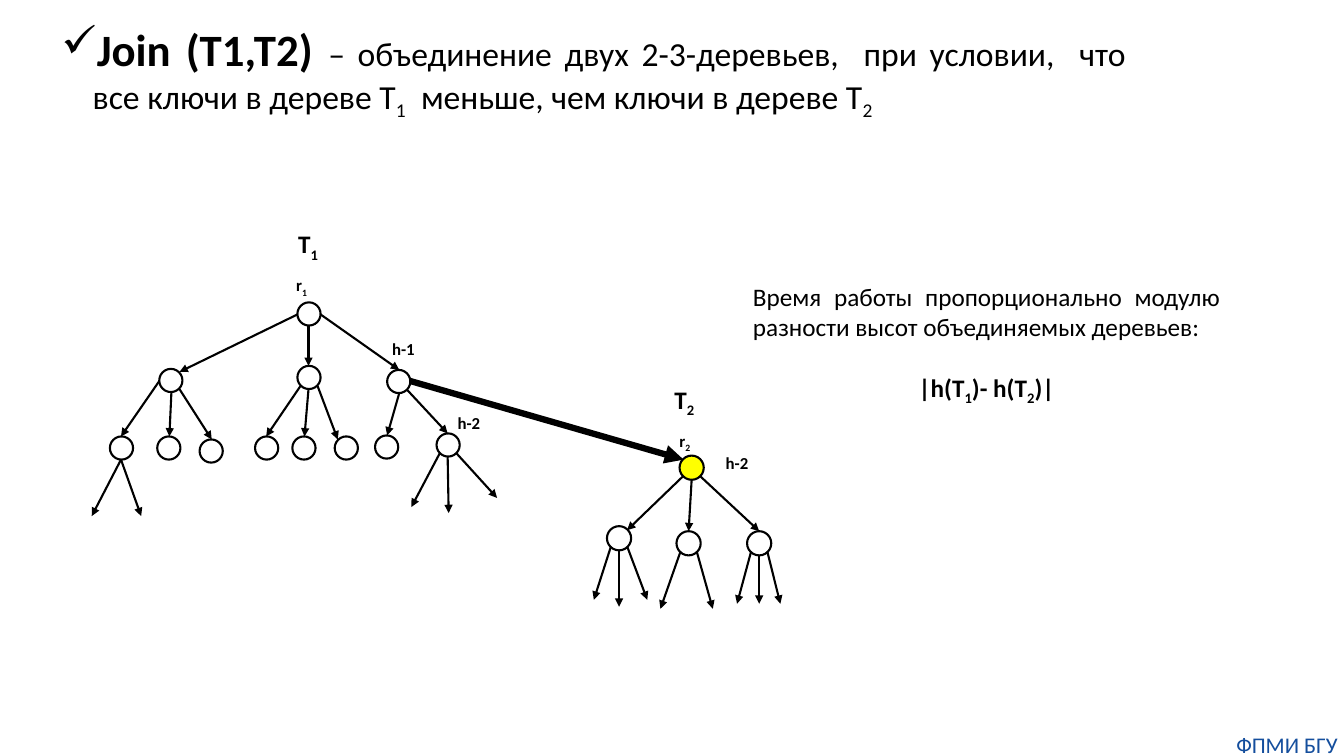
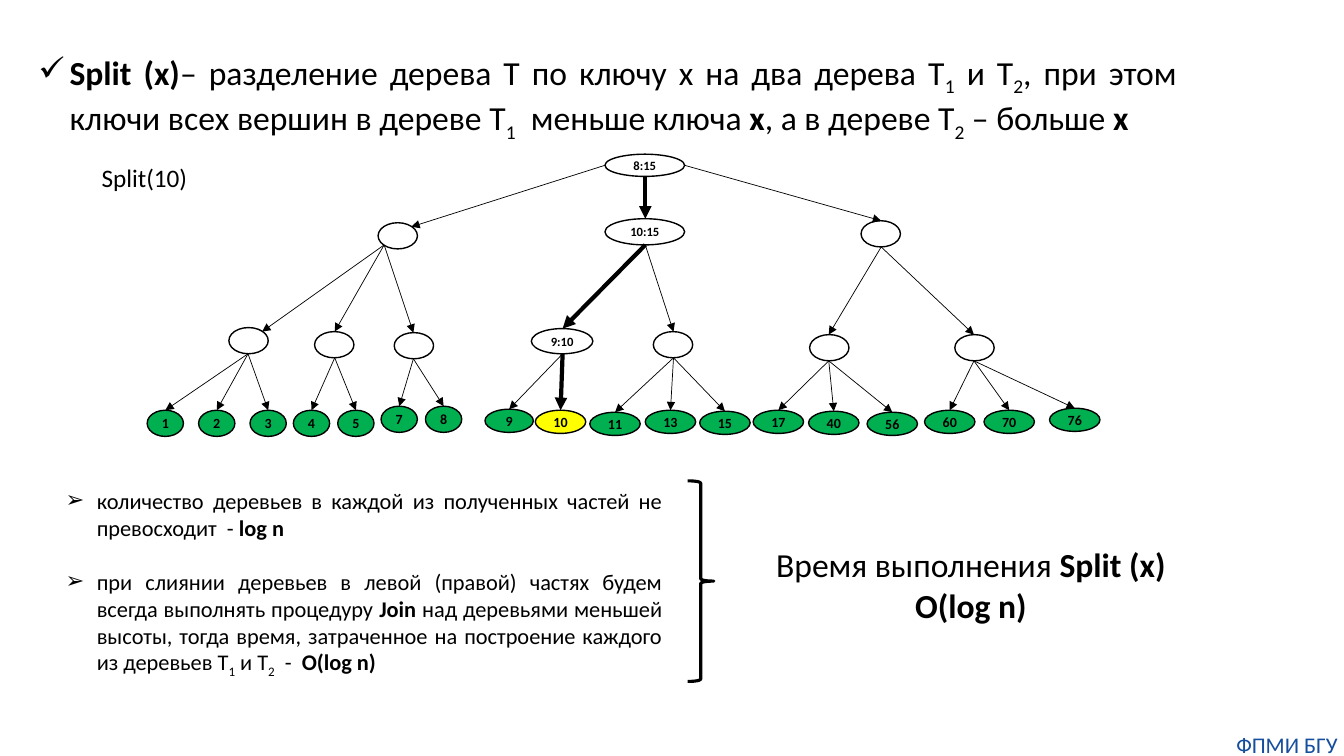
from dataclasses import dataclass
from typing import NamedTuple, Optional

from lxml import etree
from pptx import Presentation
from pptx.dml.color import RGBColor
from pptx.enum.shapes import MSO_CONNECTOR, MSO_SHAPE
from pptx.enum.text import MSO_ANCHOR, MSO_AUTO_SIZE, PP_ALIGN
from pptx.oxml.ns import qn
from pptx.util import Pt

LEFT, CENTER, JUSTIFY = PP_ALIGN.LEFT, PP_ALIGN.CENTER, PP_ALIGN.JUSTIFY
TOP, MIDDLE = MSO_ANCHOR.TOP, MSO_ANCHOR.MIDDLE
GROW, FIXED = MSO_AUTO_SIZE.SHAPE_TO_FIT_TEXT, MSO_AUTO_SIZE.NONE
STRAIGHT = MSO_CONNECTOR.STRAIGHT
ELLIPSE, BRACE = MSO_SHAPE.OVAL, MSO_SHAPE.RIGHT_BRACE

# Shared look: 100 px to the inch
EMU_PER_PX = 9144
SLIDE_WIDTH, SLIDE_HEIGHT = 1333, 750
FONT = "Calibri"
COLORS = {"ink": "000000", "footer": "144E9D", "leaf": "00B050", "found": "FFFF00"}
TITLE_ONLY, TITLE_AND_BODY = 5, 1
BULLET_INDENT = 31

# Ports on an ellipse, as shares of its width and height
NEAR, FAR = 0.146, 0.854
PORTS = {
    "T": (0.5, 0), "B": (0.5, 1), "L": (0, 0.5), "R": (1, 0.5),
    "TL": (NEAR, NEAR), "TR": (FAR, NEAR), "BL": (NEAR, FAR), "BR": (FAR, FAR),
}


class Area(NamedTuple):
    left: int
    top: int
    width: int
    height: int


@dataclass
class Span:
    text: str
    bold: bool = False
    sub: bool = False
    size: Optional[int] = None


@dataclass
class Para:
    spans: list[Span]
    align: PP_ALIGN = LEFT
    bullet: str = ""
    space_before: float = 0


@dataclass
class Node:
    area: Area
    fill: str = ""
    label: str = ""
    label_size: int = 9

    def port(self, name: str) -> tuple[int, int]:
        across, down = PORTS[name]
        return (round(self.area.left + across * self.area.width),
                round(self.area.top + down * self.area.height))


class Edge(NamedTuple):
    parent: str
    child: str
    start: str = "B"
    end: str = "T"
    weight: float = 0


class Stub(NamedTuple):
    parent: str
    start: str
    x: int
    y: int


def px(length: float) -> int:
    return round(length * EMU_PER_PX)


def color(name: str) -> RGBColor:
    return RGBColor.from_string(COLORS[name])


def bold(text: str, size: Optional[int] = None) -> Span:
    return Span(text, bold=True, size=size)


def sub(text: str, heavy: bool = False) -> Span:
    return Span(text, bold=heavy, sub=True)


def write(frame, paras: list[Para], size: int, ink: str = "ink") -> None:
    for index, para in enumerate(paras):
        line = frame.paragraphs[0] if index == 0 else frame.add_paragraph()
        line.alignment = para.align
        line.line_spacing = 1.0
        line.space_before = Pt(para.space_before)
        if para.bullet:
            props = line._p.get_or_add_pPr()
            props.set("marL", str(px(BULLET_INDENT)))
            props.set("indent", str(-px(BULLET_INDENT)))
            etree.SubElement(props, qn("a:buChar")).set("char", para.bullet)
        for span in para.spans:
            run = line.add_run()
            run.text = span.text
            run.font.name = FONT
            run.font.size = Pt(span.size or size)
            run.font.bold = span.bold
            run.font.color.rgb = color(ink)
            if span.sub:
                run._r.get_or_add_rPr().set("baseline", "-25000")


def fill_placeholder(holder, area: Area, paras: list[Para], size: int) -> None:
    holder.left, holder.top, holder.width, holder.height = map(px, area)
    frame = holder.text_frame
    frame.word_wrap, frame.auto_size, frame.vertical_anchor = True, GROW, TOP
    write(frame, paras, size)


def clear_insets(frame) -> None:
    frame.margin_left = frame.margin_right = 0
    frame.margin_top = frame.margin_bottom = 0


def add_text(page, area: Area, paras: list[Para], size: int, wrap: bool = True,
             ink: str = "ink", insets: bool = True) -> None:
    frame = page.shapes.add_textbox(*map(px, area)).text_frame
    frame.word_wrap, frame.auto_size = wrap, GROW
    if not insets:
        clear_insets(frame)
    write(frame, paras, size, ink)


def add_outline(page, kind: MSO_SHAPE, area: Area, weight: float, fill: str = ""):
    shape = page.shapes.add_shape(kind, *map(px, area))
    shape.shadow.inherit = False
    shape.line.color.rgb = color("ink")
    shape.line.width = Pt(weight)
    if fill:
        shape.fill.solid()
        shape.fill.fore_color.rgb = color(fill)
    else:
        shape.fill.background()
    return shape


def add_arrow(page, start: tuple[int, int], end: tuple[int, int], weight: float) -> None:
    arrow = page.shapes.add_connector(STRAIGHT, *map(px, start + end))
    arrow.line.color.rgb = color("ink")
    arrow.line.width = Pt(weight)
    head = etree.SubElement(arrow.line._get_or_add_ln(), qn("a:tailEnd"))
    head.set("type", "triangle")
    etree.SubElement(arrow._element.spPr, qn("a:effectLst"))


def draw_tree(page, nodes: dict[str, Node], edges: list[Edge], stubs: list[Stub],
              outline: float, weight: float) -> None:
    for node in nodes.values():
        shape = add_outline(page, ELLIPSE, node.area, outline, node.fill)
        if node.label:
            frame = shape.text_frame
            frame.word_wrap, frame.auto_size, frame.vertical_anchor = False, FIXED, MIDDLE
            clear_insets(frame)
            write(frame, [Para([bold(node.label)], CENTER)], node.label_size)
    for edge in edges:
        add_arrow(page, nodes[edge.parent].port(edge.start),
                  nodes[edge.child].port(edge.end), edge.weight or weight)
    for stub in stubs:
        add_arrow(page, nodes[stub.parent].port(stub.start), (stub.x, stub.y), weight)


def start_page(deck, layout: int, area: Area, spans: list[Span]):
    page = deck.slides.add_slide(deck.slide_layouts[layout])
    fill_placeholder(page.shapes.title, area, [Para(spans, JUSTIFY, "✓")], 24)
    add_text(page, Area(1220, 725, 113, 27), [Para([Span("ФПМИ БГУ")], CENTER)], 16,
             ink="footer", insets=False)
    return page


def build_join(deck) -> None:
    page = start_page(deck, TITLE_ONLY, Area(51, 17, 1076, 104), [
        bold("Join (T1,T2) ", 32),
        Span("– объединение двух 2-3-деревьев,  при условии,  что все ключи в дереве T"),
        sub("1"), Span("  меньше, чем ключи в дереве T"), sub("2")])

    # Both trees
    spots = {
        "r1": (295, 300), "a": (158, 366), "b": (295, 363), "c": (384, 367),
        "a1": (109, 433), "a2": (156, 433), "a3": (198, 436),
        "b1": (253, 433), "b2": (290, 433), "b3": (332, 433),
        "c1": (372, 432), "c2": (433, 430),
        "r2": (674, 452), "d": (602, 522), "e": (671, 527), "f": (741, 527)}
    nodes = {name: Node(Area(*spot, 23, 23)) for name, spot in spots.items()}
    for name in ("r2", "d", "e", "f"):
        nodes[name].area = Area(*spots[name], 24, 24)
    nodes["r2"].fill = "found"
    edges = [
        Edge("r1", "a", "L", "TR"), Edge("r1", "b"), Edge("r1", "c", "R"),
        Edge("a", "a1", "L"), Edge("a", "a2"), Edge("a", "a3", "BR"),
        Edge("b", "b1", "BL"), Edge("b", "b2"), Edge("b", "b3", "BR", "TL"),
        Edge("c", "c1"), Edge("c", "c2", "BR"),
        Edge("r2", "d", "BL", "TR"), Edge("r2", "e"), Edge("r2", "f", "BR"),
        Edge("c", "r2", "R", "TL", 4.5)]
    stubs = [
        Stub("a1", "B", 91, 512), Stub("a1", "B", 140, 512),
        Stub("c2", "BL", 408, 503), Stub("c2", "B", 445, 509), Stub("c2", "BR", 493, 494),
        Stub("d", "BL", 589, 595), Stub("d", "B", 614, 602), Stub("d", "BR", 642, 595),
        Stub("e", "BL", 655, 604), Stub("e", "BR", 707, 604),
        Stub("f", "BL", 731, 599), Stub("f", "B", 753, 599), Stub("f", "BR", 774, 599)]
    draw_tree(page, nodes, edges, stubs, outline=1.5, weight=1.5)

    # Tree names, roots and heights
    for left, top, text, index, size in [
            (286, 222, "Т", "1", 18), (659, 376, "Т", "2", 18),
            (284, 268, "r", "1", 12), (664, 422, "r", "2", 12),
            (379, 331, "h-1", "", 12), (444, 405, "h-2", "", 12), (710, 444, "h-2", "", 12)]:
        spans = [bold(text)] + ([sub(index, True)] if index else [])
        width = 43 if size == 18 or not index else 34
        add_text(page, Area(left, top, width, 40 if size == 18 else 30),
                 [Para(spans)], size, wrap=False)

    # Running time
    add_text(page, Area(737, 274, 483, 131), [
        Para([Span("Время работы пропорционально модулю разности высот "
                   "объединяемых деревьев:")], JUSTIFY),
        Para([bold("|h(T"), sub("1", True), bold(")- h(T"), sub("2", True), bold(")|")],
             CENTER, space_before=22)], 18)


def build_split(deck) -> None:
    page = start_page(deck, TITLE_AND_BODY, Area(28, 46, 1149, 111), [
        bold("Split (x)"), Span("– разделение дерева Т по ключу x на два дерева T"),
        sub("1"), Span(" и T"), sub("2"),
        Span(", при этом ключи всех вершин в дереве T"), sub("1"),
        Span("  меньше ключа "), bold("x"), Span(", а в дереве T"), sub("2"),
        Span(" – больше "), bold("x")])

    # Inner nodes
    nodes = {
        "root": Node(Area(600, 153, 79, 22), label="8:15"),
        "mid": Node(Area(600, 217, 79, 26), label="10:15"),
        "m1": Node(Area(527, 326, 61, 25), label="9:10")}
    for name, spot in {
            "left": (375, 221), "l1": (227, 325), "l2": (312, 329), "l3": (391, 330),
            "m2": (648, 329), "right": (854, 219), "r1": (803, 332), "r2": (947, 332)}.items():
        nodes[name] = Node(Area(*spot, 39, 26))

    # Leaves
    small = {"1": (146, 407), "2": (197, 407), "3": (248, 407), "4": (291, 407),
             "5": (335, 407), "7": (378, 403), "8": (422, 403)}
    wide = {"9": (481, 406), "10": (531, 407), "11": (585, 409), "13": (640, 407),
            "15": (694, 408), "17": (747, 407), "40": (802, 408), "56": (860, 409),
            "60": (917, 407), "70": (976, 407), "76": (1041, 405)}
    for spots, size in ((small, (36, 26)), (wide, (50, 23))):
        for key, spot in spots.items():
            nodes[key] = Node(Area(*spot, *size), "leaf", key, 10)
    nodes["9"].area = Area(*wide["9"], 48, 23)
    nodes["10"].fill = "found"

    # Edges, the search path drawn heavy
    edges = [Edge("root", "left", "L", "TR"), Edge("root", "right", "R"),
             Edge("left", "l1", "BL", "TR"), Edge("left", "l2", "BL"),
             Edge("left", "l3", "BL")]
    path_down = {("root", "mid"), ("mid", "m1"), ("m1", "10")}
    children = {
        "root": ["mid"], "mid": ["m1", "m2"], "right": ["r1", "r2"],
        "l1": ["1", "2", "3"], "l2": ["4", "5"], "l3": ["7", "8"],
        "m1": ["9", "10"], "m2": ["11", "13", "15"],
        "r1": ["17", "40", "56"], "r2": ["60", "70", "76"]}
    for parent, names in children.items():
        for name in names:
            edges.append(Edge(parent, name, weight=3 if (parent, name) in path_down else 0))
    draw_tree(page, nodes, edges, [], outline=1, weight=0.5)

    # Reasons, brace and conclusion
    fill_placeholder(page.placeholders[1], Area(55, 478, 612, 199), [
        Para([Span("количество деревьев в каждой из полученных частей не превосходит  - "),
              bold("log n")], JUSTIFY, "➢"),
        Para([Span("при слиянии деревьев в левой (правой) частях будем всегда "
                   "выполнять процедуру "), bold("Join "),
              Span("над деревьями меньшей высоты, тогда время, затраченное на "
                   "построение каждого из деревьев Т"), sub("1"), Span(" и Т"), sub("2"),
              Span("  -  "), bold("O(log n)")], JUSTIFY, "➢", 19.5)], 16)
    add_outline(page, BRACE, Area(682, 477, 26, 199), 2.25)
    add_text(page, Area(91, 156, 106, 40), [Para([Span("Split(10)")])], 18, wrap=False)
    add_text(page, Area(743, 535, 440, 91), [
        Para([Span("Время выполнения "), bold("Split (x)")], CENTER),
        Para([bold("O(log n)")], CENTER)], 24)


def main() -> None:
    deck = Presentation()
    deck.slide_width, deck.slide_height = px(SLIDE_WIDTH), px(SLIDE_HEIGHT)
    build_join(deck)
    build_split(deck)
    deck.save("out.pptx")


if __name__ == "__main__":
    main()
